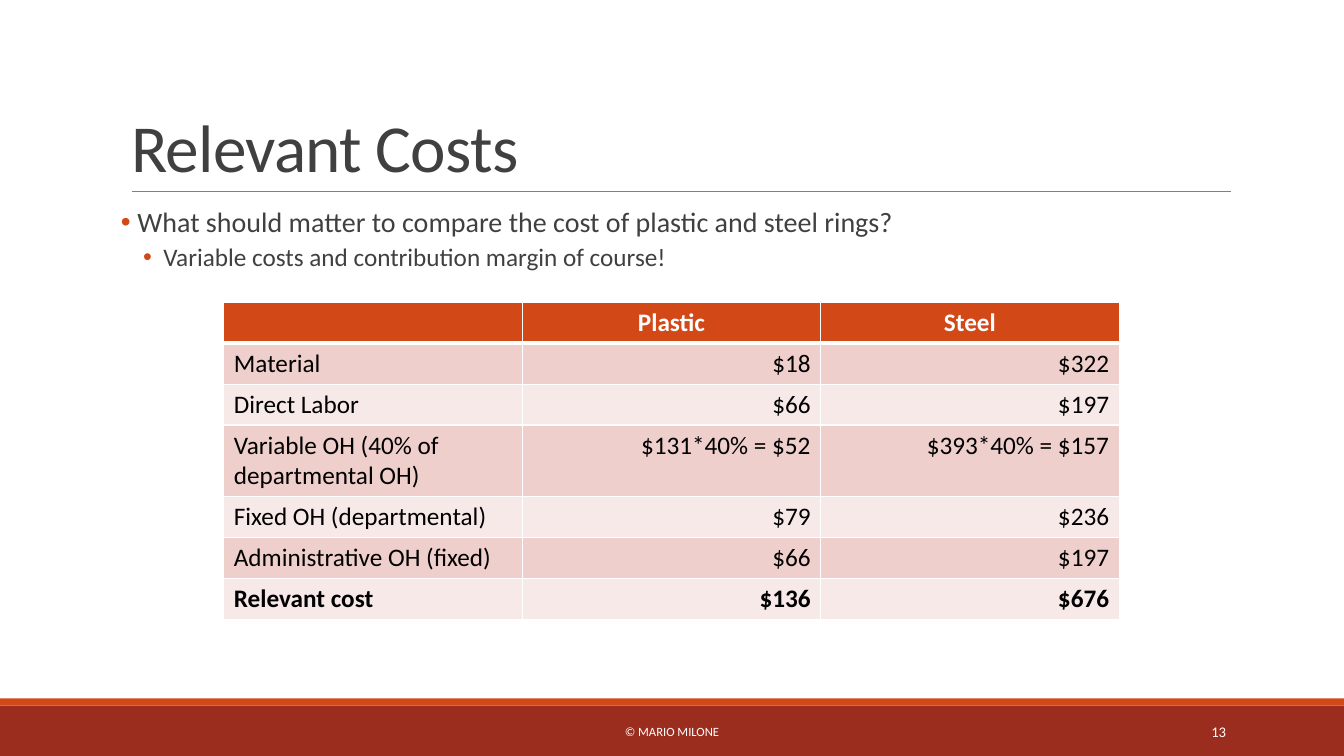
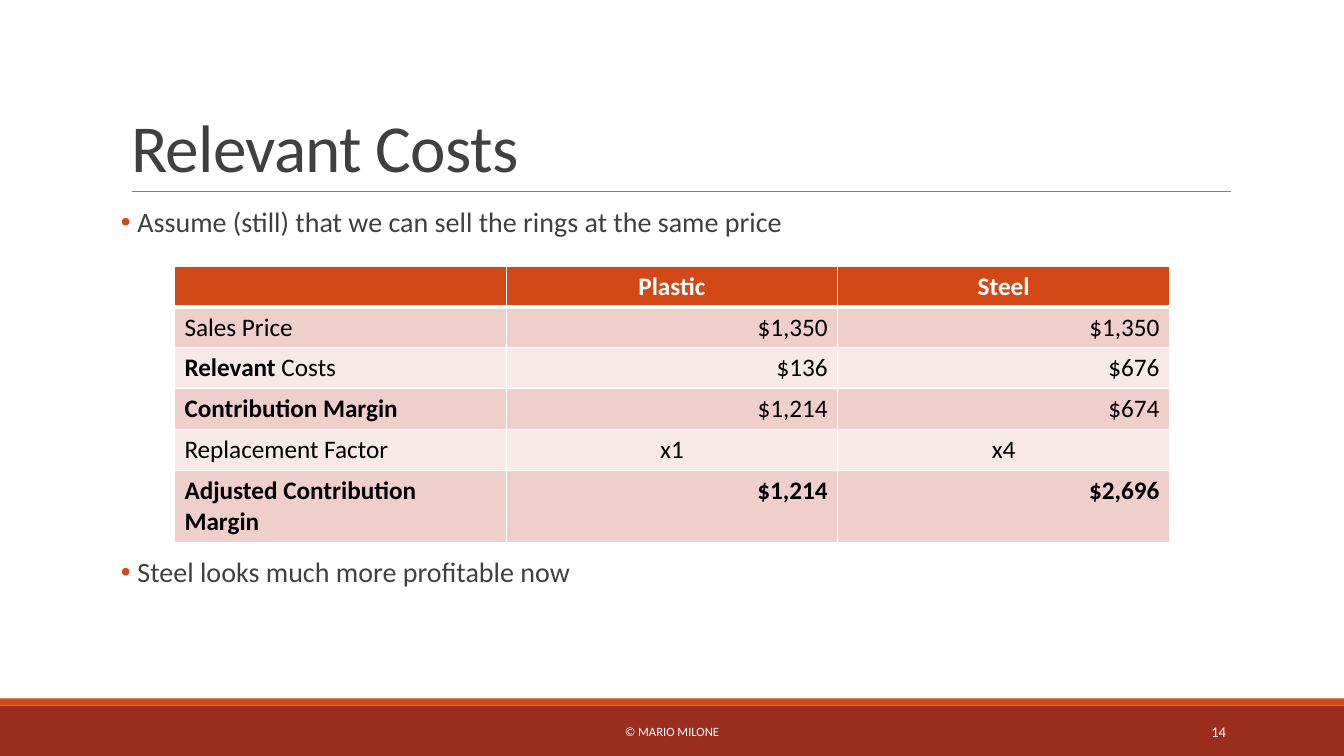
from lxml.etree import SubElement
from pptx import Presentation
from pptx.dml.color import RGBColor
from pptx.enum.shapes import MSO_CONNECTOR as Connector, MSO_SHAPE as Shape
from pptx.enum.text import MSO_ANCHOR as Anchor, MSO_AUTO_SIZE as AutoSize, PP_ALIGN as Align
from pptx.oxml.ns import qn
from pptx.util import Inches, Pt

COLORS = {
    "band": "9B2D1F", "accent": "D34817", "rule": "808080", "text": "404040",
    "white": "FFFFFF", "black": "000000", "odd": "EFCFCC", "even": "F7E9E8",
}
FONT = "Calibri"
WIDTH, HEIGHT = 13.33, 7.5
BULLETS = [
    {"size": 20, "margin": 0.1, "hang": 0.1, "before": 12, "after": 2},
    {"size": 18, "margin": 0.42, "hang": 0.2, "before": 2, "after": 4},
]


def rgb(name):
    """Return the named palette colour."""
    return RGBColor.from_string(COLORS[name])


def write(para, text, size=18, color="black", bold=False, align=Align.LEFT, tracking=None):
    """Fill a paragraph; text between bars is bold."""
    para.alignment = align
    for index, part in enumerate(text.split("|")):
        if not part:
            continue
        span = para.add_run()
        span.text = part
        font = span.font
        font.name, font.size = FONT, Pt(size)
        font.bold = bold or index % 2 == 1
        font.color.rgb = rgb(color)
        if tracking is not None:
            span._r.get_or_add_rPr().set("spc", str(int(tracking * 100)))


def add_border(cell, side, width):
    """Draw a white border on one side of a table cell."""
    line = SubElement(cell._tc.get_or_add_tcPr(), qn(f"a:ln{side}"), w=str(Pt(width)))
    fill = SubElement(line, qn("a:solidFill"))
    SubElement(fill, qn("a:srgbClr"), val=COLORS["white"])


class Deck:
    """Holds the presentation style and the current slide."""

    def __init__(self):
        """Start a widescreen presentation."""
        self.file = Presentation()
        self.file.slide_width, self.file.slide_height = Inches(WIDTH), Inches(HEIGHT)

    def add_page(self, title, number):
        """Add a slide with the shared bands, rule, title and footer."""
        self.page = self.file.slides.add_slide(self.file.slide_layouts[1])
        self.add_band(7, 0.5, "band")
        self.add_band(6.93, 0.07, "accent")
        self.add_rule(1.31, 12.21, 1.9)
        frame = self.place(self.page.shapes.title, 1.2, 0.31, 11, 1.59, Anchor.BOTTOM)
        frame.paragraphs[0].line_spacing = 0.85
        write(frame.paragraphs[0], title, size=48, color="text", tracking=-0.5)
        self.add_footer("© MARIO MILONE", 4.03, 5.27, size=9, align=Align.CENTER)
        self.add_footer(str(number), 10.83, 1.43, size=10.5, align=Align.RIGHT)

    def place(self, box, left, top, width, height, anchor):
        """Position a text box or placeholder and return its frame."""
        box.left, box.top = Inches(left), Inches(top)
        box.width, box.height = Inches(width), Inches(height)
        frame = box.text_frame
        frame.word_wrap, frame.auto_size = True, AutoSize.NONE
        frame.vertical_anchor = anchor
        return frame

    def add_band(self, top, height, color):
        """Add a full-width coloured band."""
        band = self.page.shapes.add_shape(
            Shape.RECTANGLE, 0, Inches(top), Inches(WIDTH), Inches(height))
        band.shadow.inherit = False
        band.fill.solid()
        band.fill.fore_color.rgb = rgb(color)
        band.line.fill.background()

    def add_rule(self, left, right, top):
        """Add the thin line under the title."""
        rule = self.page.shapes.add_connector(
            Connector.STRAIGHT, Inches(left), Inches(top), Inches(right), Inches(top))
        rule.line.color.rgb = rgb("rule")
        rule.line.width = Pt(0.5)
        SubElement(rule._element.spPr, qn("a:effectLst"))

    def add_footer(self, text, left, width, **style):
        """Add white text on the bottom band."""
        box = self.page.shapes.add_textbox(0, 0, 0, 0)
        frame = self.place(box, left, 7.06, width, 0.4, Anchor.MIDDLE)
        write(frame.paragraphs[0], text, color="white", **style)

    def add_bullets(self, items):
        """Fill the body with (text, level, extra space before) items."""
        frame = self.place(self.page.placeholders[1], 1.2, 2.02, 11, 4.4, Anchor.TOP)
        frame.margin_left = frame.margin_right = 0
        for index, (text, level, gap) in enumerate(items):
            para = frame.add_paragraph() if index else frame.paragraphs[0]
            style = BULLETS[level]
            para.level, para.line_spacing = level, 0.9
            para.space_before = Pt(style["before"] + gap)
            para.space_after = Pt(style["after"])
            write(para, text, size=style["size"], color="text")
            props = para._p.get_or_add_pPr()
            props.set("marL", str(Inches(style["margin"])))
            props.set("indent", str(-Inches(style["hang"])))
            color = SubElement(props, qn("a:buClr"))
            SubElement(color, qn("a:srgbClr"), val=COLORS["accent"])
            SubElement(props, qn("a:buChar"), char="•")

    def add_table(self, rows, left, top, column_width, row_height=0.4):
        """Add a banded table with a header row."""
        columns = len(rows[0])
        table = self.page.shapes.add_table(
            len(rows), columns, Inches(left), Inches(top),
            Inches(column_width * columns), Inches(row_height * len(rows))).table
        for column in table.columns:
            column.width = Inches(column_width)
        for r, row in enumerate(rows):
            table.rows[r].height = Inches(row_height)
            for c, text in enumerate(row):
                self.fill_cell(table.cell(r, c), text, r, c)

    def fill_cell(self, cell, text, row, column):
        """Format one table cell by its row and column."""
        header = row == 0
        for side, width in (("L", 1), ("R", 1), ("T", 3 if row == 1 else 1), ("B", 3 if header else 1)):
            add_border(cell, side, width)
        cell.fill.solid()
        cell.fill.fore_color.rgb = rgb("accent" if header else "odd" if row % 2 else "even")
        if header or text.startswith("x"):
            align = Align.CENTER
        else:
            align = Align.RIGHT if column else Align.LEFT
        write(cell.text_frame.paragraphs[0], text, bold=header, align=align,
              color="white" if header else "black")


HEADER = ("", "Plastic", "Steel")
COSTS = [
    HEADER,
    ("Material", "$18", "$322"),
    ("Direct Labor", "$66", "$197"),
    ("Variable OH (40% of departmental OH)", "$131*40% = $52", "$393*40% = $157"),
    ("Fixed OH (departmental)", "$79", "$236"),
    ("Administrative OH (fixed)", "$66", "$197"),
    ("|Relevant cost|", "|$136|", "|$676|"),
]
MARGINS = [
    HEADER,
    ("Sales Price", "$1,350", "$1,350"),
    ("|Relevant| Costs", "$136", "$676"),
    ("|Contribution Margin|", "$1,214", "$674"),
    ("Replacement Factor", "x1", "x4"),
    ("|Adjusted Contribution Margin|", "|$1,214|", "|$2,696|"),
]

deck = Deck()
deck.add_page("Relevant Costs", 13)
deck.add_bullets([
    (" What should matter to compare the cost of plastic and steel rings?", 0, 0),
    ("Variable costs and contribution margin of course!", 1, 0),
])
deck.add_table(COSTS, 2.22, 3, 2.96)

deck.add_page("Relevant Costs", 14)
deck.add_bullets([
    (" Assume (still) that we can sell the rings at the same price", 0, 0),
    (" Steel looks much more profitable now", 0, 214),
])
deck.add_table(MARGINS, 1.73, 2.64, 3.29)

deck.file.save("out.pptx")
